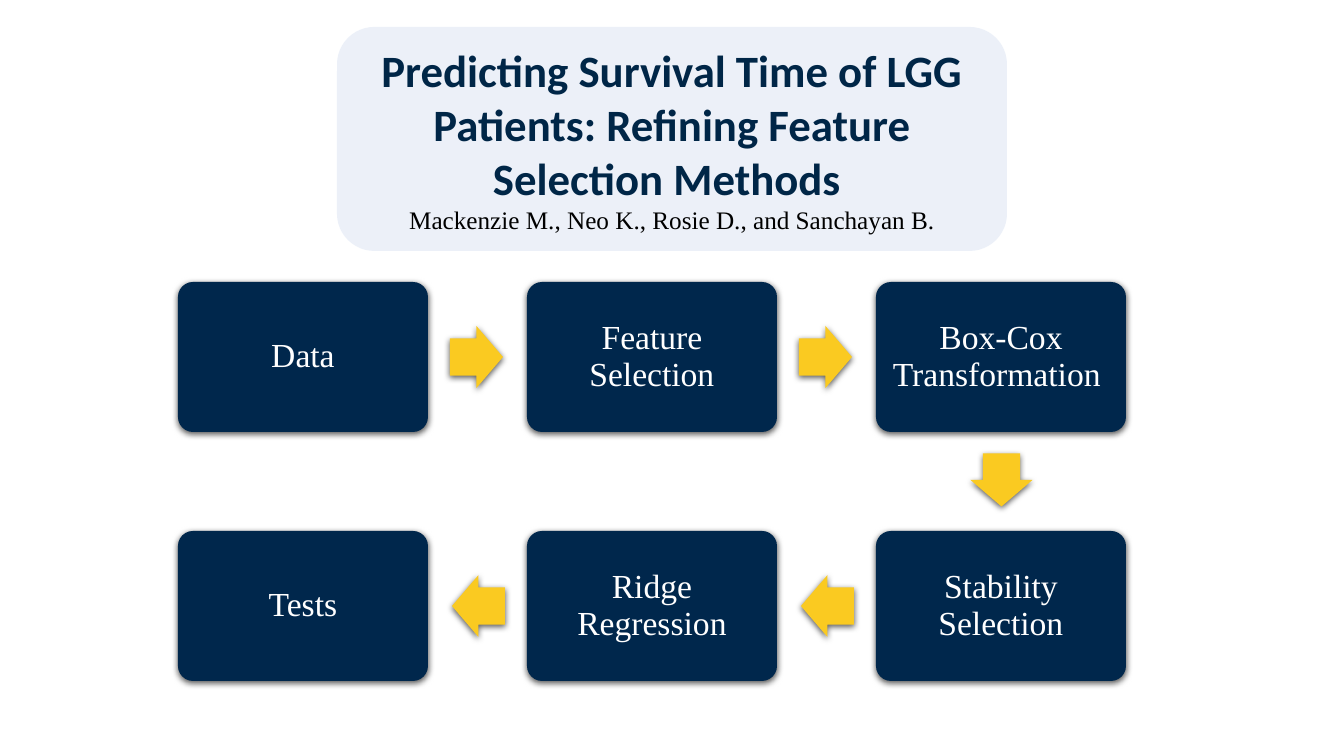
from dataclasses import dataclass

from lxml import etree
from pptx import Presentation
from pptx.dml.color import RGBColor
from pptx.enum.shapes import MSO_SHAPE
from pptx.enum.text import MSO_ANCHOR, MSO_AUTO_SIZE, PP_ALIGN
from pptx.oxml.ns import qn
from pptx.util import Emu, Pt

ROUNDED = MSO_SHAPE.ROUNDED_RECTANGLE
ARROW = MSO_SHAPE.RIGHT_ARROW
CENTER = PP_ALIGN.CENTER
MIDDLE = MSO_ANCHOR.MIDDLE
NO_AUTOFIT = MSO_AUTO_SIZE.NONE
TITLE_ONLY = 5
EMU_PER_PX = 914400 / 100.8


@dataclass(frozen=True)
class Theme:
    panel: str = "DAE3F3"
    panel_alpha: int = 50
    box: str = "00274C"
    arrow: str = "FACA21"
    shadow: str = "000000"
    shadow_alpha: int = 63
    title: str = "002647"
    authors: str = "000000"
    label: str = "FFFFFF"
    sans: str = "Calibri"
    serif: str = "Times New Roman"
    title_size: int = 32
    authors_size: int = 18
    label_size: int = 24


@dataclass(frozen=True)
class Box:
    left: int
    top: int
    width: int
    height: int


@dataclass(frozen=True)
class Step:
    label: str
    col: int
    row: int


THEME = Theme()
PANEL = Box(337, 27, 670, 224)
FIRST = Box(178, 282, 250, 150)
COL_PITCH, ROW_PITCH = 349, 249
ARROW_W, ARROW_H = 53, 62
ARROW_BACK = 1
TITLE_INSET, LABEL_INSET = 21, 10

STEPS = [
    Step("Data", 0, 0),
    Step("Feature Selection", 1, 0),
    Step("Box-Cox Transformation ", 2, 0),
    Step("Stability Selection", 2, 1),
    Step("Ridge Regression", 1, 1),
    Step("Tests", 0, 1),
]


def px(n: int) -> Emu:
    return Emu(round(n * EMU_PER_PX))


def place(sp, box: Box) -> None:
    sp.left, sp.top = px(box.left), px(box.top)
    sp.width, sp.height = px(box.width), px(box.height)


def add_alpha(color, percent: int) -> None:
    etree.SubElement(color, qn("a:alpha"), val=str(percent * 1000))


def add_shape(slide, kind, box: Box, color: str, adjustments: tuple = ()):
    sp = slide.shapes.add_shape(kind, 0, 0, 0, 0)
    place(sp, box)
    for i, value in enumerate(adjustments):
        sp.adjustments[i] = value
    sp.fill.solid()
    sp.fill.fore_color.rgb = RGBColor.from_string(color)
    sp.line.fill.background()
    sp.shadow.inherit = False
    return sp


def add_shadow(sp) -> None:
    effects = sp.element.spPr.find(qn("a:effectLst"))
    shadow = etree.SubElement(
        effects, qn("a:outerShdw"), blurRad=str(Pt(4.5)), dist=str(Pt(1.5)),
        dir="5400000", algn="ctr", rotWithShape="0",
    )
    color = etree.SubElement(shadow, qn("a:srgbClr"), val=THEME.shadow)
    add_alpha(color, THEME.shadow_alpha)


def set_frame(tf, inset: int) -> None:
    tf.word_wrap = True
    tf.auto_size = NO_AUTOFIT
    tf.vertical_anchor = MIDDLE
    tf.margin_left = tf.margin_right = px(inset)
    tf.margin_top = tf.margin_bottom = px(LABEL_INSET)


def add_run(p, text: str, font: str, size: int, color: str, bold: bool = False) -> None:
    p.alignment = CENTER
    r = p.add_run()
    r.text = text
    r.font.name = font
    r.font.size = Pt(size)
    r.font.bold = bold
    r.font.color.rgb = RGBColor.from_string(color)


def add_title(slide) -> None:
    panel = add_shape(slide, ROUNDED, PANEL, THEME.panel)
    add_alpha(panel.element.spPr.find(qn("a:solidFill"))[0], THEME.panel_alpha)
    title = slide.shapes.title
    place(title, PANEL)
    panel.element.addnext(title.element)
    tf = title.text_frame
    set_frame(tf, TITLE_INSET)
    add_run(tf.paragraphs[0],
            "Predicting Survival Time of LGG Patients: Refining Feature Selection Methods ",
            THEME.sans, THEME.title_size, THEME.title, True)
    add_run(tf.add_paragraph(), "Mackenzie M., Neo K., Rosie D., and Sanchayan B.",
            THEME.serif, THEME.authors_size, THEME.authors)


def step_box(step: Step) -> Box:
    return Box(FIRST.left + step.col * COL_PITCH, FIRST.top + step.row * ROW_PITCH,
               FIRST.width, FIRST.height)


def add_step(slide, step: Step) -> None:
    sp = add_shape(slide, ROUNDED, step_box(step), THEME.box, (0.1,))
    add_shadow(sp)
    set_frame(sp.text_frame, LABEL_INSET)
    p = sp.text_frame.paragraphs[0]
    p.line_spacing = 0.9
    add_run(p, step.label, THEME.serif, THEME.label_size, THEME.label)


def add_arrow(slide, start: Step, end: Step) -> None:
    a, b = step_box(start), step_box(end)
    dx, dy = end.col - start.col, end.row - start.row
    center_x = (a.left + b.left + a.width) // 2 - dx * ARROW_BACK
    center_y = (a.top + b.top + a.height) // 2 - dy * ARROW_BACK
    box = Box(center_x - ARROW_W // 2, center_y - ARROW_H // 2, ARROW_W, ARROW_H)
    sp = add_shape(slide, ARROW, box, THEME.arrow, (0.6, 0.5))
    sp.rotation = 90 if dy else 90 * (1 - dx)
    add_shadow(sp)


def main() -> None:
    prs = Presentation()
    prs.slide_width, prs.slide_height = px(1344), px(756)
    slide = prs.slides.add_slide(prs.slide_layouts[TITLE_ONLY])
    add_title(slide)
    for step in STEPS:
        add_step(slide, step)
    for start, end in zip(STEPS, STEPS[1:]):
        add_arrow(slide, start, end)
    prs.save("out.pptx")


if __name__ == "__main__":
    main()
